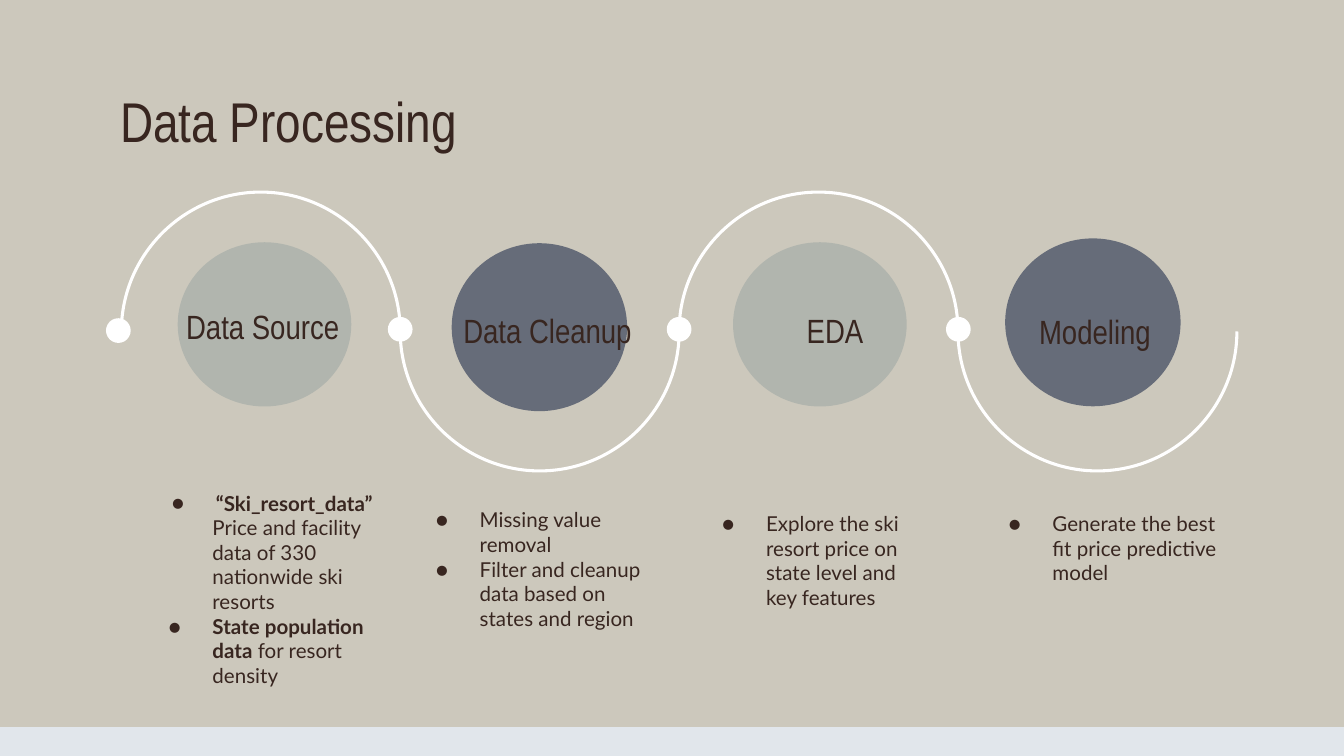
"""Build the Data Processing slide: four stages along a winding line."""
import pptx
import pptx.dml.color
import pptx.enum.shapes
import pptx.enum.text
import pptx.oxml
import pptx.oxml.ns
import pptx.util

Pt = pptx.util.Pt
RGBColor = pptx.dml.color.RGBColor
SHAPE = pptx.enum.shapes.MSO_SHAPE
ALIGN = pptx.enum.text.PP_ALIGN
ANCHOR = pptx.enum.text.MSO_ANCHOR
qn = pptx.oxml.ns.qn

SAND = RGBColor(0xCC, 0xC8, 0xBC)
MIST = RGBColor(0xE1, 0xE6, 0xEB)
SAGE = RGBColor(0xB1, 0xB5, 0xAE)
SLATE = RGBColor(0x66, 0x6C, 0x79)
WHITE = RGBColor(0xFF, 0xFF, 0xFF)
BROWN = RGBColor(0x38, 0x26, 0x20)
HEAD_FONT, BODY_FONT = "Arial Narrow", "Lato"

TITLE = "Data Processing"
STAGES = [
    {"label": "Data Source", "label_at": (61.2, 153),
     "disc": (95.2, 129.8, 93, 88, SAGE), "dot": (63.4, 177.1),
     "list_at": (70.6, 259.2, 138.2, 7.2),
     "items": [(True, ALIGN.CENTER, [("“Ski_resort_data”", True)]),
               (False, ALIGN.LEFT, [("Price and facility data of 330 nationwide ski resorts", False)]),
               (True, ALIGN.LEFT, [("State population data", True), (" for resort density", False)])]},
    {"label": "Data Cleanup", "label_at": (213.8, 155.1),
     "disc": (242, 130.3, 94, 90, SLATE), "dot": (214.4, 176.4),
     "list_at": (213.8, 264.6, 138.2, 45.4),
     "items": [(True, ALIGN.LEFT, [("Missing value removal", False)]),
               (True, ALIGN.LEFT, [("Filter and cleanup data based on states and region", False)])]},
    {"label": "EDA", "label_at": (367.8, 155.2),
     "disc": (392.7, 129.8, 93, 88, SAGE), "dot": (363.8, 176.4),
     "list_at": (367.2, 266.5, 138.2, 72),
     "items": [(True, ALIGN.LEFT, [("Explore the ski resort price on state level and key features", False)])]},
    {"label": "Modeling", "label_at": (507.1, 155.5),
     "disc": (538.5, 127.7, 94, 90, SLATE), "dot": (513.4, 176.4),
     "list_at": (520.6, 266.5, 139, 45.4),
     "items": [(True, ALIGN.LEFT, [("Generate the best fit price predictive model", False)])]},
]
WAVE_LEFT, WAVE_Y, RADIUS = 65, 177.6, 74.7
CURVE = 0.55
HALF_CIRCLE = [(-1, 0), (-1, CURVE), (-CURVE, 1), (0, 1), (CURVE, 1), (1, CURVE), (1, 0)]
DOT_SIZE = 12.5


def place(sp, left, top, width, height):
    sp.left, sp.top, sp.width, sp.height = Pt(left), Pt(top), Pt(width), Pt(height)


def add_solid(slide, kind, box, color):
    sp = slide.shapes.add_shape(kind, *map(Pt, box))
    sp.shadow.inherit = False
    sp.fill.solid()
    sp.fill.fore_color.rgb = color
    sp.line.fill.background()
    return sp


def set_frame(sp, anchor):
    tf = sp.text_frame
    tf.word_wrap = True
    tf.auto_size = pptx.enum.text.MSO_AUTO_SIZE.NONE
    tf.vertical_anchor = anchor
    tf.margin_left = tf.margin_right = tf.margin_top = tf.margin_bottom = Pt(7.2)
    return tf


def add_run(p, text, font, size, bold=False):
    r = p.add_run()
    r.text = text
    r.font.name, r.font.size, r.font.bold = font, Pt(size), bold
    r.font.color.rgb = BROWN


def set_bullet(p, bulleted):
    pPr = p._p.get_or_add_pPr()
    pPr.set("marL", str(Pt(36)))
    pPr.set("indent", str(Pt(-23.5) if bulleted else 0))
    ns = pptx.oxml.ns.nsdecls("a")
    if bulleted:
        marks = [f'<a:buClr {ns}><a:srgbClr val="{BROWN}"/></a:buClr>',
                 f'<a:buFont {ns} typeface="{BODY_FONT}"/>',
                 f'<a:buChar {ns} char="●"/>']
    else:
        marks = [f"<a:buNone {ns}/>"]
    for mark in marks:
        pPr.append(pptx.oxml.parse_xml(mark))


def fill_list(sp, box, items):
    place(sp, *box)
    tf = set_frame(sp, ANCHOR.TOP)
    for i, (bulleted, align, runs) in enumerate(items):
        p = tf.add_paragraph() if i else tf.paragraphs[0]
        set_bullet(p, bulleted)
        p.alignment = align
        p.space_before = Pt(0)
        for text, bold in runs:
            add_run(p, text, BODY_FONT, 11, bold)


def bend_segments(sp):
    lines = list(sp._element.iter(qn("a:lnTo")))
    for i in range(0, len(lines), 3):
        curve = pptx.oxml.parse_xml(f'<a:cubicBezTo {pptx.oxml.ns.nsdecls("a")}/>')
        lines[i].addprevious(curve)
        for line in lines[i:i + 3]:
            curve.append(line[0])
            line.getparent().remove(line)


def add_arc(slide, index):
    cx = WAVE_LEFT + RADIUS * (2 * index + 1)
    side = 1 if index % 2 else -1
    points = [(Pt(cx + RADIUS * x), Pt(WAVE_Y + side * RADIUS * y)) for x, y in HALF_CIRCLE]
    builder = slide.shapes.build_freeform(*points[0])
    builder.add_line_segments(points[1:], close=False)
    sp = builder.convert_to_shape()
    bend_segments(sp)
    sp.shadow.inherit = False
    sp.fill.background()
    sp.line.color.rgb = WHITE
    sp.line.width = Pt(1.64)


def main():
    prs = pptx.Presentation()
    prs.slide_width, prs.slide_height = Pt(720), Pt(405)
    slide = prs.slides.add_slide(prs.slide_layouts.get_by_name("Comparison"))
    slide.background.fill.solid()
    slide.background.fill.fore_color.rgb = SAND

    title = slide.shapes.title
    place(title, 57.3, 42.5, 459.4, 43.2)
    p = set_frame(title, ANCHOR.MIDDLE).paragraphs[0]
    p.alignment = ALIGN.LEFT
    add_run(p, TITLE, HEAD_FONT, 30)

    add_solid(slide, SHAPE.RECTANGLE, (0, 389.6, 720, 15.4), MIST)
    for i, stage in enumerate(STAGES):
        *box, color = stage["disc"]
        add_solid(slide, SHAPE.OVAL, box, color)
        add_arc(slide, i)

    for i, stage in enumerate(STAGES):
        x, y = stage["dot"]
        dot = add_solid(slide, SHAPE.OVAL,
                        (x - DOT_SIZE / 2, y - DOT_SIZE / 2, DOT_SIZE, DOT_SIZE), WHITE)
        dot.line.color.rgb = WHITE
        dot.line.width = Pt(0.75)
        label = slide.shapes.add_textbox(*map(Pt, (*stage["label_at"], 159, 39.6)))
        p = set_frame(label, ANCHOR.BOTTOM).paragraphs[0]
        p.alignment = ALIGN.CENTER
        add_run(p, stage["label"], HEAD_FONT, 18)
        fill_list(slide.placeholders[i + 1], stage["list_at"], stage["items"])

    prs.save("out.pptx")


if __name__ == "__main__":
    main()
